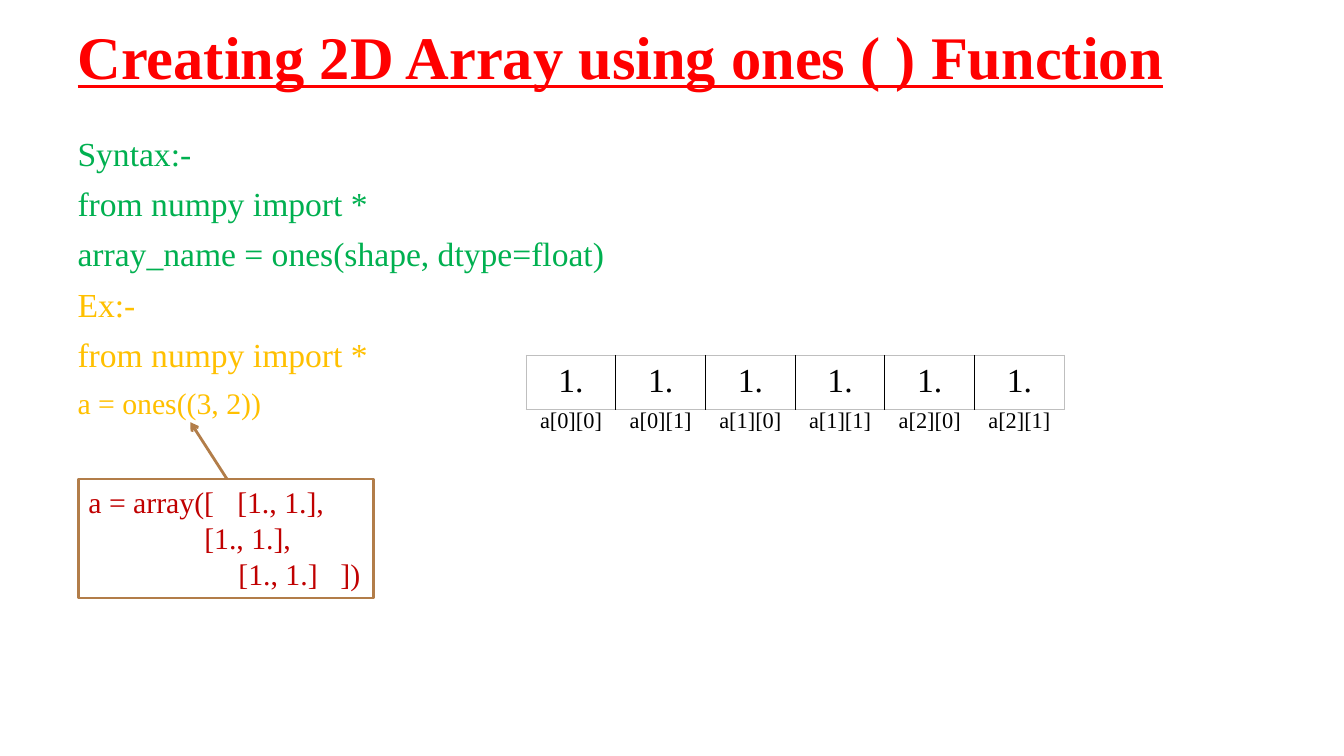
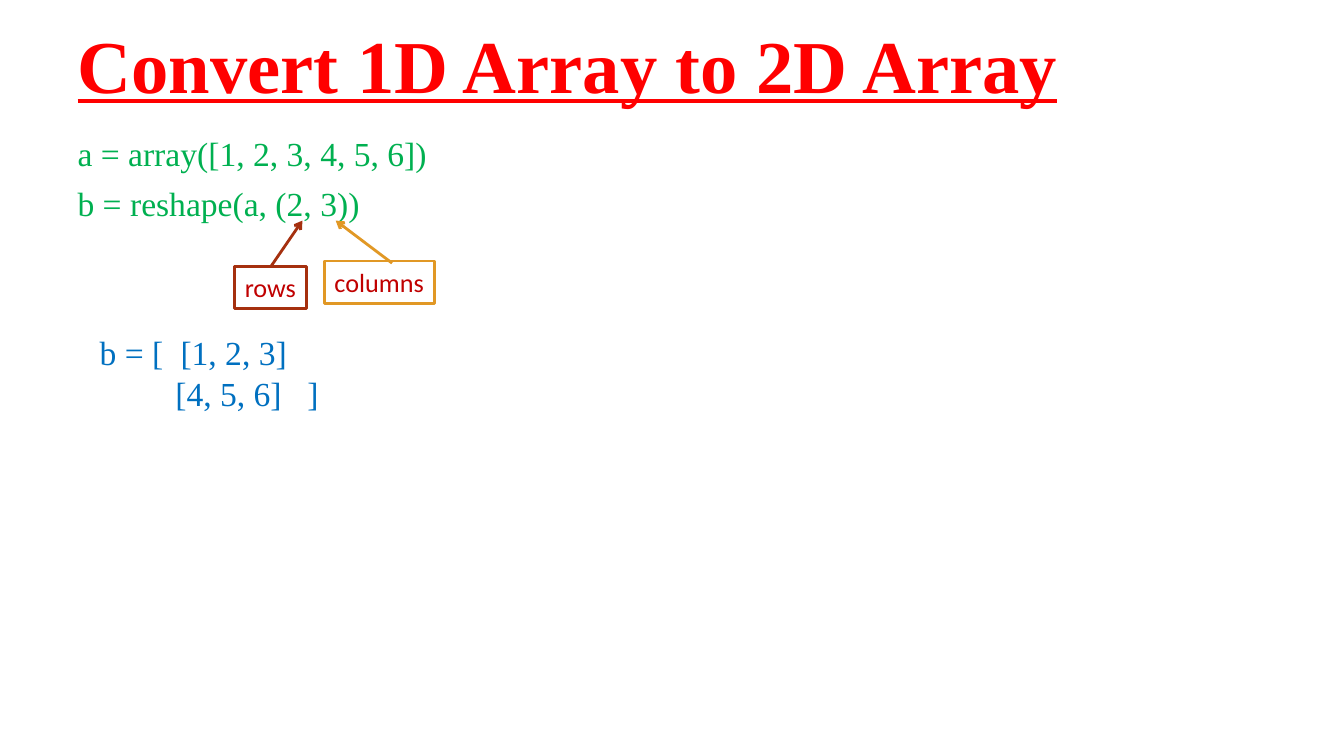
"""Build two slides on creating and reshaping 2D arrays."""
import pptx
import pptx.dml.color
import pptx.enum.shapes
import pptx.enum.text
import pptx.oxml
import pptx.oxml.ns
import pptx.util
from pptx.util import Cm, Pt

RGBColor = pptx.dml.color.RGBColor
RED = RGBColor(0xFF, 0x00, 0x00)
GREEN = RGBColor(0x00, 0xB0, 0x50)
GOLD = RGBColor(0xFF, 0xC0, 0x00)
CRIMSON = RGBColor(0xC0, 0x00, 0x00)
BLUE = RGBColor(0x00, 0x70, 0xC0)
BROWN = RGBColor(0xB2, 0x7D, 0x49)
RUST = RGBColor(0xA5, 0x30, 0x0F)
AMBER = RGBColor(0xE1, 0x98, 0x25)
GREY = RGBColor(0xBF, 0xBF, 0xBF)
WHITE = RGBColor(0xFF, 0xFF, 0xFF)
BLACK = RGBColor(0x00, 0x00, 0x00)
SERIF, SANS = "Times New Roman", "Calibri"
LEFT, WIDTH = 1.7, 30.48
TABLE_LEFT, COLUMN_WIDTH, ROW_HEIGHT = 13.26, 2.26, 1.37

INDICES = [f"a[{row}][{column}]" for row in range(3) for column in range(2)]

SLIDES = [
    {
        "title": ("Creating 2D Array using ones ( ) Function", 43.2, -0.08),
        "body": [
            ("Syntax:-", 24, GREEN),
            ("from numpy import *", 24, GREEN),
            ("array_name = ones(shape, dtype=float)", 24, GREEN),
            ("Ex:-", 24, GOLD),
            ("from numpy import *", 24, GOLD),
            ("a = ones((3, 2))", 21.3, GOLD),
        ],
        "body_height": 14.68,
        "tables": [
            {"values": ["1."] * len(INDICES), "top": 8.95, "size": 24, "ruled": True},
            {"values": INDICES, "top": 10.11, "size": 16, "ruled": False},
        ],
        "boxes": [
            {"at": (1.98, 12.07, 7.44, 3.0), "font": (SERIF, 21.3, CRIMSON), "line": BROWN,
             "lines": [("a = array([\t[1., 1.],", [3.75]),
                       ("\t[1., 1.],", [2.92]),
                       ("\t[1., 1.]\t])", [3.78, 6.35])]},
        ],
        "arrows": [((5.72, 12.07), (4.8, 10.64), BROWN)],
    },
    {
        "title": ("Convert 1D Array to 2D Array", 53.3, 0.15),
        "body": [
            ("a = array([1, 2, 3, 4, 5, 6])", 24, GREEN),
            ("b = reshape(a, (2, 3))", 24, GREEN),
        ],
        "body_height": 14.96,
        "tables": [],
        "boxes": [
            {"at": (5.92, 6.71, 1.8, 1.07), "font": (SANS, 18.7, CRIMSON), "line": RUST,
             "lines": [("rows", [])]},
            {"at": (8.18, 6.58, 2.77, 1.07), "font": (SANS, 18.7, CRIMSON), "line": AMBER,
             "lines": [("columns", [])]},
            {"at": (2.26, 8.25, 6.07, 2.31), "font": (SERIF, 24, BLUE), "line": None,
             "lines": [("b = [\t[1, 2, 3]", [2.04]),
                       ("\t[4, 5, 6]\t]", [1.91, 5.24])]},
        ],
        "arrows": [((6.83, 6.71), (7.62, 5.56), RUST), ((9.88, 6.63), (8.46, 5.56), AMBER)],
    },
]


def add_element(parent, tag, **attributes):
    """Append an XML element with the given attributes."""
    element = pptx.oxml.parse_xml(f'<{tag} {pptx.oxml.ns.nsdecls("a")}/>')
    for name, value in attributes.items():
        element.set(name, str(value))
    parent.append(element)
    return element


def place(sp, left, top, width, height):
    """Position a shape in centimetres."""
    sp.left, sp.top, sp.width, sp.height = Cm(left), Cm(top), Cm(width), Cm(height)


def style(p, name, size, color, **flags):
    """Format every run of a paragraph."""
    for r in p.runs:
        r.font.name, r.font.size, r.font.color.rgb = name, Pt(size), color
        for flag, value in flags.items():
            setattr(r.font, flag, value)


def fill_title(sp, text, size, top):
    """Write the underlined red title."""
    place(sp, LEFT, top, WIDTH, 3.18)
    tf = sp.text_frame
    tf.text = text
    tf.auto_size = pptx.enum.text.MSO_AUTO_SIZE.NONE
    tf.vertical_anchor = pptx.enum.text.MSO_ANCHOR.MIDDLE
    p = tf.paragraphs[0]
    p.alignment, p.line_spacing = pptx.enum.text.PP_ALIGN.LEFT, 0.9
    style(p, SERIF, size, RED, bold=True, underline=True)


def fill_body(sp, lines, height):
    """Write the unbulleted code lines."""
    place(sp, LEFT, 3.33, WIDTH, height)
    tf = sp.text_frame
    tf.text = "\n".join(text for text, _, _ in lines)
    tf.auto_size = pptx.enum.text.MSO_AUTO_SIZE.NONE
    for i, (p, (_, size, color)) in enumerate(zip(tf.paragraphs, lines)):
        pPr = p._p.get_or_add_pPr()
        pPr.set("marL", "0")
        pPr.set("indent", "0")
        add_element(pPr, "a:buNone")
        p.line_spacing, p.space_before = 0.9, Pt(10 if i else 0)
        style(p, SERIF, size, color)


def add_border(tcPr, side, color, width):
    """Draw one cell edge, or clear it when there is no colour."""
    ln = add_element(tcPr, f"a:ln{side}", w=Pt(width))
    if color is None:
        add_element(ln, "a:noFill")
    else:
        add_element(add_element(ln, "a:solidFill"), "a:srgbClr", val=color)


def add_row_table(slide, values, top, size, ruled):
    """Add a one-row table, with or without rules."""
    count = len(values)
    table = slide.shapes.add_table(1, count, Cm(TABLE_LEFT), Cm(top),
                                   Cm(COLUMN_WIDTH * count), Cm(ROW_HEIGHT)).table
    table.first_row = table.horz_banding = False
    for i, (cell, value) in enumerate(zip(table.iter_cells(), values)):
        cell.text = value
        cell.margin_left = cell.margin_right = Cm(0.33)
        cell.margin_top = cell.margin_bottom = Cm(0.18)
        p = cell.text_frame.paragraphs[0]
        p.alignment = pptx.enum.text.PP_ALIGN.CENTER
        style(p, SERIF, size, BLACK)
        inner = {"L": i > 0, "R": i < count - 1, "T": False, "B": False}
        for side, is_inner in inner.items():
            color = (BLACK if is_inner else GREY) if ruled else None
            add_border(cell._tc.get_or_add_tcPr(), side, color, 1 if is_inner else 0.5)
        cell.fill.background()


def add_code_box(slide, at, font, line, lines):
    """Add a text box or outlined rectangle with tab-aligned lines."""
    box = [Cm(value) for value in at]
    if line is None:
        sp = slide.shapes.add_textbox(*box)
    else:
        sp = slide.shapes.add_shape(pptx.enum.shapes.MSO_SHAPE.RECTANGLE, *box)
        sp.shadow.inherit = False
        sp.fill.solid()
        sp.fill.fore_color.rgb = WHITE
        sp.line.color.rgb, sp.line.width = line, Pt(2)
    tf = sp.text_frame
    tf.text = "\n".join(text for text, _ in lines)
    tf.word_wrap, tf.margin_right = True, 0
    tf.vertical_anchor = pptx.enum.text.MSO_ANCHOR.TOP
    for p, (_, stops) in zip(tf.paragraphs, lines):
        if stops:
            tabs = add_element(p._p.get_or_add_pPr(), "a:tabLst")
            for stop in stops:
                add_element(tabs, "a:tab", pos=Cm(stop), algn="l")
        p.alignment = pptx.enum.text.PP_ALIGN.LEFT
        style(p, *font)


def add_arrow(slide, start, end, color):
    """Add a straight arrow between two points."""
    line = slide.shapes.add_connector(pptx.enum.shapes.MSO_CONNECTOR.STRAIGHT,
                                      *[Cm(value) for value in start + end])
    line.line.color.rgb, line.line.width = color, Pt(2)
    add_element(line.line._get_or_add_ln(), "a:tailEnd", type="arrow")
    add_element(line._element.spPr, "a:effectLst")


def main():
    """Build and save the presentation."""
    prs = pptx.Presentation()
    prs.slide_width, prs.slide_height = Cm(33.87), Cm(19.05)
    for content in SLIDES:
        slide = prs.slides.add_slide(prs.slide_layouts[1])
        fill_title(slide.shapes.title, *content["title"])
        fill_body(slide.placeholders[1], content["body"], content["body_height"])
        for table in content["tables"]:
            add_row_table(slide, **table)
        for box in content["boxes"]:
            add_code_box(slide, **box)
        for arrow in content["arrows"]:
            add_arrow(slide, *arrow)
    prs.save("out.pptx")


if __name__ == "__main__":
    main()
